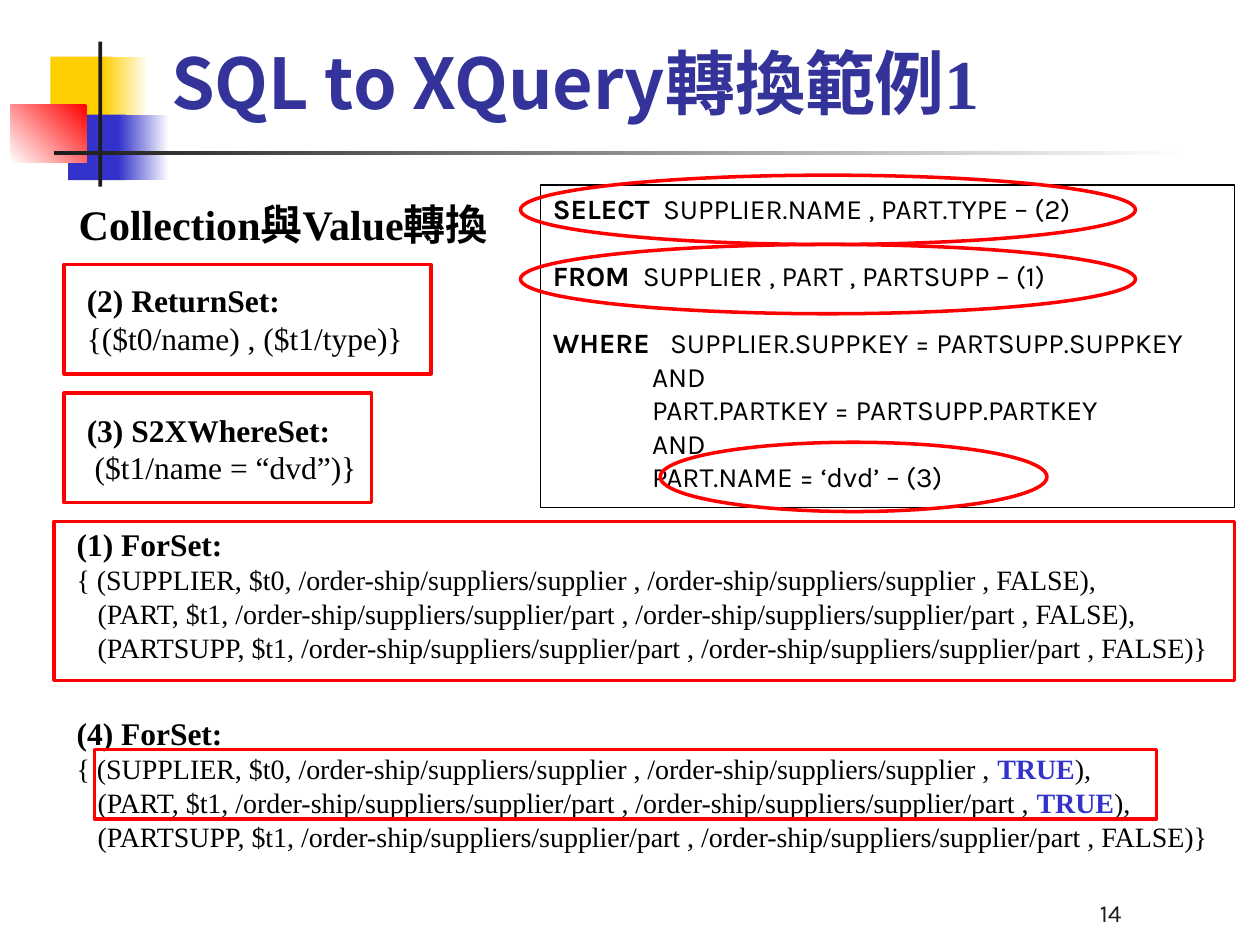
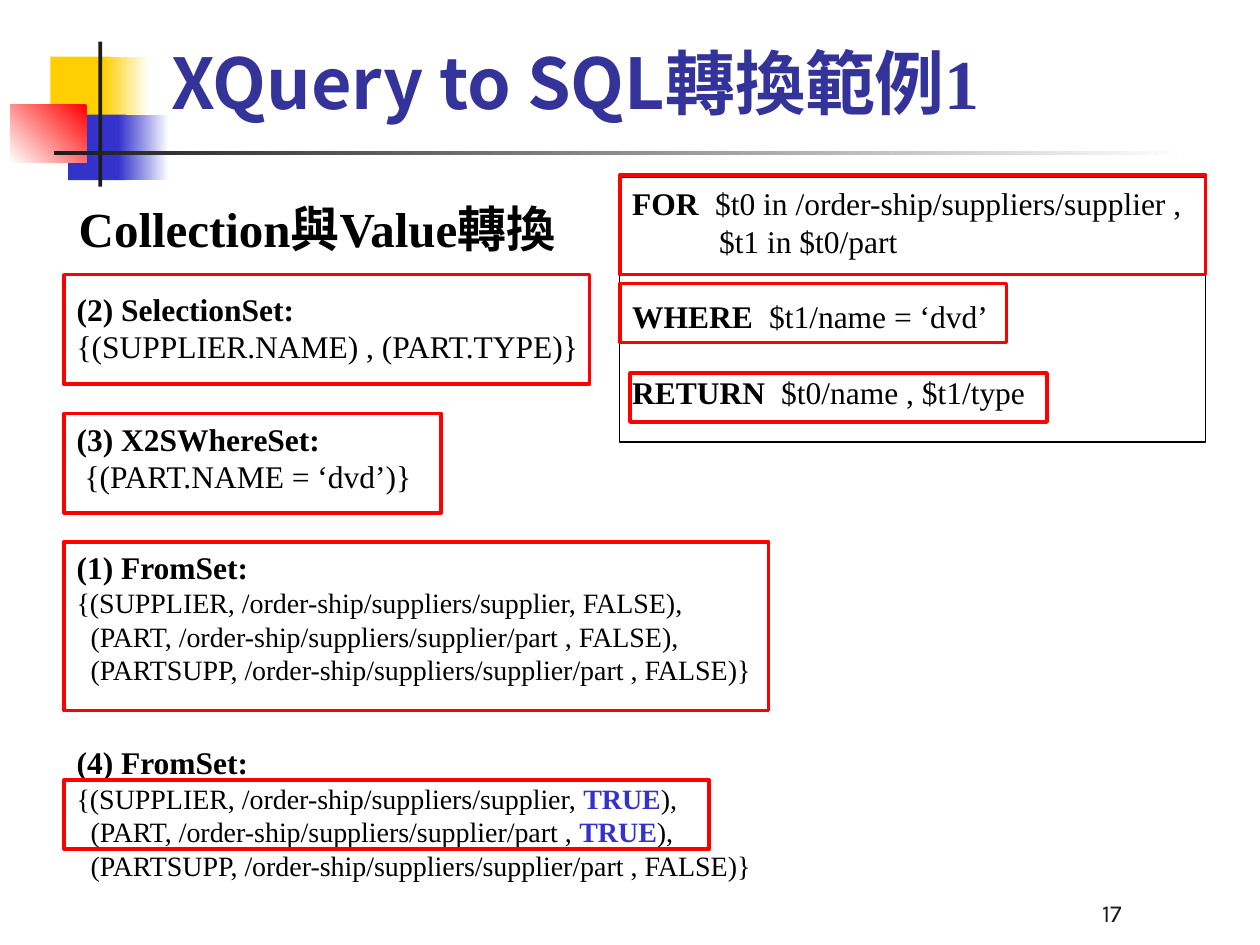
from collections import namedtuple
from lxml import etree
from pptx import Presentation
from pptx.dml.color import RGBColor
from pptx.enum.shapes import MSO_SHAPE
from pptx.enum.text import MSO_ANCHOR, PP_ALIGN
from pptx.oxml.ns import qn
from pptx.util import Pt

COLORS = {
    "yellow": "FFCF01", "blue": "3333CC", "red": "FF0000", "dark": "1C1C1C",
    "white": "FFFFFF", "black": "000000", "title": "333399",
}
SERIF, SANS, CJK = "Times New Roman", "Karla", "Noto Sans CJK SC"
RECT, OVAL = MSO_SHAPE.RECTANGLE, MSO_SHAPE.OVAL
Run = namedtuple("Run", "text bold color font", defaults=(False, "black", SERIF))
Line = namedtuple("Line", "runs size indent tab before", defaults=(18, 0, 0, 0))


def add_box(slide, kind, box, fill=None, line=None, width=2):
    shape = slide.shapes.add_shape(kind, *map(Pt, box))
    shape.shadow.inherit = False
    if fill is None:
        shape.fill.background()
    elif isinstance(fill, str):
        shape.fill.solid()
        shape.fill.fore_color.rgb = RGBColor.from_string(COLORS[fill])
    else:
        start, end, angle = fill
        shape.fill.gradient()
        shape.fill.gradient_angle = angle
        for stop, name in zip(shape.fill.gradient_stops, (start, end)):
            stop.color.rgb = RGBColor.from_string(COLORS[name])
    if line:
        shape.line.color.rgb = RGBColor.from_string(COLORS[line])
        shape.line.width = Pt(width)
    else:
        shape.line.fill.background()
    return shape


def write(shape, lines, anchor=MSO_ANCHOR.TOP, align=PP_ALIGN.LEFT, spacing=1.2):
    frame = shape.text_frame
    frame.word_wrap = True
    frame.vertical_anchor = anchor
    for number, line in enumerate(lines):
        paragraph = frame.add_paragraph() if number else frame.paragraphs[0]
        properties = paragraph._p.get_or_add_pPr()
        if line.tab:
            stops = etree.SubElement(properties, qn("a:tabLst"))
            etree.SubElement(stops, qn("a:tab"), pos=str(Pt(line.tab)), algn="l")
        if line.indent:
            properties.set("marL", str(Pt(line.indent)))
            properties.set("indent", "0")
        paragraph.alignment = align
        if spacing:
            paragraph.line_spacing = Pt(line.size * spacing)
        if line.before:
            paragraph.space_before = Pt(line.before)
        for part in line.runs:
            run = paragraph.add_run()
            run.text = part.text
            run.font.size = Pt(line.size)
            run.font.bold = part.bold
            run.font.name = part.font
            run.font.color.rgb = RGBColor.from_string(COLORS[part.color])
            latin = run._r.rPr.find(qn("a:latin"))
            latin.addnext(etree.Element(qn("a:ea"), typeface=CJK))


DECORATION = [
    ((28.8, 32.4, 34.6, 37.4), "yellow"),
    ((59, 32.4, 25.9, 37.4), ("white", "yellow", 180)),
    ((38.9, 65.5, 33.1, 37.4), "blue"),
    ((67.7, 65.5, 28.8, 37.4), ("white", "blue", 180)),
    ((5.8, 59.8, 43.9, 33.1), ("red", "white", 225)),
    ((56.2, 23.8, 2.2, 82.8), "dark"),
    ((31, 86.4, 648, 2.2), ("white", "dark", 180)),
]

SUPPLIER = "/order-ship/suppliers/supplier"
PART = SUPPLIER + "/part"
FOR_ROWS = [
    f"{{ (SUPPLIER, $t0, {SUPPLIER} , {SUPPLIER} , ",
    f"(PART, $t1, {PART} , {PART} , ",
    f"(PARTSUPP, $t1, {PART} , {PART} , ",
]
FROM_ROWS = [
    f"{{(SUPPLIER, {SUPPLIER}, ",
    f"(PART, {PART} , ",
    f"(PARTSUPP, {PART} , ",
]

SQL_QUERY = [
    ("SELECT", "SUPPLIER.NAME , PART.TYPE – (2)", 62.9, 0),
    ("FROM", "SUPPLIER , PART , PARTSUPP – (1)", 51.4, 19.2),
    ("WHERE", "SUPPLIER.SUPPKEY = PARTSUPP.SUPPKEY", 66.9, 19.2),
    ("", "AND", 56.6, 0),
    ("", "PART.PARTKEY = PARTSUPP.PARTKEY", 56.6, 0),
    ("", "AND", 56.6, 0),
    ("", "PART.NAME = ‘dvd’ – (3)", 56.6, 0),
]
XQUERY_QUERY = [
    ("FOR", f"$t0 in {SUPPLIER} ,", 47.4, 0),
    ("", "$t1 in $t0/part", 49.6, 0),
    ("WHERE", "$t1/name = ‘dvd’", 78.2, 21.6),
    ("RETURN", "$t0/name , $t1/type", 85.1, 21.6),
]

SLIDES = [
    dict(
        title="SQL to XQuery轉換範例", number="14", heading_size=24,
        query=SQL_QUERY, query_box=(308.9, 105.8, 396.7, 184.3),
        query_font=SANS, query_size=16,
        pairs=[
            ((42.5, 157, 260.6, 50.4), "(2) ReturnSet:", "{($t0/name) , ($t1/type)}", 0),
            ((42.5, 231.1, 260.6, 50.4), "(3) S2XWhereSet:", "($t1/name = “dvd”)}", 4.5),
        ],
        set_name="ForSet:", rows=FOR_ROWS, row_indent=12, set_tops=(296.6, 404.6),
        marks=[
            (OVAL, (297.4, 139.7, 351.4, 39.6)),
            (RECT, (31, 298.1, 674.6, 90.7)),
            (OVAL, (297.4, 100.1, 351.4, 39.6)),
            (RECT, (36.7, 151.2, 209.5, 62.6)),
            (RECT, (54, 428.4, 607, 39.6)),
            (OVAL, (377.3, 252.7, 221, 39.6)),
            (RECT, (36.7, 224.6, 175.7, 62.6)),
        ],
    ),
    dict(
        title="XQuery to SQL轉換範例", number="17", heading_size=28,
        query=XQUERY_QUERY, query_box=(354.2, 101.5, 334.8, 151.2),
        query_font=SERIF, query_size=18,
        pairs=[
            ((36.7, 162, 311.8, 50.4), "(2) SelectionSet:", "{(SUPPLIER.NAME) , (PART.TYPE)}", 0),
            ((36.7, 236.2, 260.6, 50.4), "(3) X2SWhereSet:", "{(PART.NAME = ‘dvd’)}", 4.5),
        ],
        set_name="FromSet:", rows=FROM_ROWS, row_indent=8, set_tops=(309.6, 421.2),
        marks=[
            (RECT, (36.7, 309.6, 402.5, 96.5)),
            (RECT, (354.2, 100.1, 334.8, 56.9)),
            (RECT, (36.7, 157, 300.2, 62.6)),
            (RECT, (360, 213.1, 238.3, 28.1)),
            (RECT, (36.7, 445.7, 368.6, 39.6)),
            (RECT, (36.7, 236.2, 215.3, 56.9)),
            (RECT, (354.2, 162, 221, 33.8)),
        ],
    ),
]

deck = Presentation()
deck.slide_width, deck.slide_height = Pt(720), Pt(540)

for content in SLIDES:
    slide = deck.slides.add_slide(deck.slide_layouts[6])
    for box, fill in DECORATION:
        add_box(slide, RECT, box, fill)

    title = slide.shapes.add_textbox(Pt(90.7), Pt(12.2), Pt(613.4), Pt(61.9))
    title_runs = [Run(content["title"], True, "title", CJK), Run("1", True, "title")]
    write(title, [Line(title_runs, 40)], MSO_ANCHOR.BOTTOM, spacing=None)

    heading = slide.shapes.add_textbox(Pt(37.9), Pt(110), Pt(652), Pt(398))
    write(heading, [Line([Run("Collection與Value轉換", True)], content["heading_size"])])

    query_lines = []
    for keyword, clause, offset, before in content["query"]:
        font, size = content["query_font"], content["query_size"]
        if keyword:
            runs = [Run(keyword, True, font=font), Run("\t" + clause, font=font)]
            query_lines.append(Line(runs, size, tab=offset, before=before))
        else:
            query_lines.append(Line([Run(clause, font=font)], size, offset))
    query = add_box(slide, RECT, content["query_box"], line="black", width=0.75)
    write(query, query_lines)

    for step, top, flag in zip((1, 4), content["set_tops"], ("FALSE", "TRUE")):
        set_lines = [Line([Run(f"({step}) {content['set_name']}", True)])]
        for index, row in enumerate(content["rows"]):
            indent = content["row_indent"] if index else 0
            if index == 2:
                runs = [Run(row + "FALSE)}")]
            elif flag == "TRUE":
                runs = [Run(row), Run(flag, True, "blue"), Run("),")]
            else:
                runs = [Run(row + "FALSE),")]
            set_lines.append(Line(runs, 16, indent))
        write(slide.shapes.add_textbox(Pt(36.7), Pt(top), Pt(674.6), Pt(86.4)), set_lines)

    for box, name, value, indent in content["pairs"]:
        pair = slide.shapes.add_textbox(*map(Pt, box))
        write(pair, [Line([Run(name, True)]), Line([Run(value)], indent=indent)])

    for kind, box in content["marks"]:
        add_box(slide, kind, box, line="red")

    page = slide.shapes.add_textbox(Pt(498.2), Pt(497.5), Pt(149.8), Pt(36))
    page_run = Run(content["number"], color="dark", font=SANS)
    write(page, [Line([page_run], 14)], MSO_ANCHOR.BOTTOM, PP_ALIGN.RIGHT)

deck.save("out.pptx")
